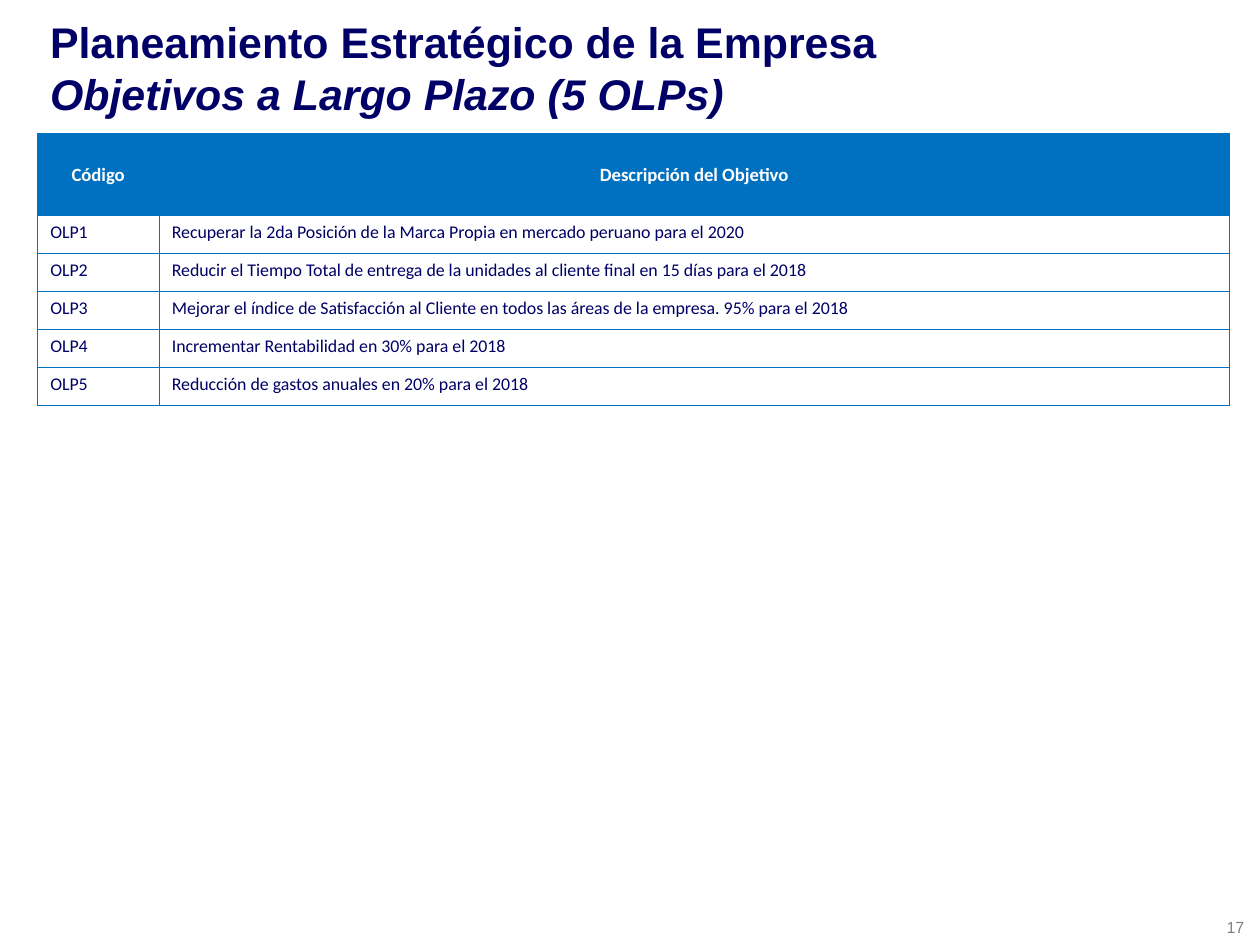
from dataclasses import dataclass

from pptx import Presentation
from pptx.dml.color import RGBColor
from pptx.enum.text import MSO_ANCHOR, PP_ALIGN
from pptx.oxml import parse_xml
from pptx.oxml.ns import nsdecls
from pptx.util import Cm, Pt

MIDDLE, TOP = MSO_ANCHOR.MIDDLE, MSO_ANCHOR.TOP
CENTER, LEFT = PP_ALIGN.CENTER, PP_ALIGN.LEFT


@dataclass(frozen=True)
class Theme:
    """Colours, fonts and type sizes of the slide."""
    navy: RGBColor = RGBColor(0x00, 0x00, 0x66)
    blue: RGBColor = RGBColor(0x00, 0x70, 0xC0)
    white: RGBColor = RGBColor(0xFF, 0xFF, 0xFF)
    grey: RGBColor = RGBColor(0x80, 0x80, 0x80)
    heading_font: str = "Arial"
    table_font: str = "Calibri"
    title_size: Pt = Pt(24)
    header_size: Pt = Pt(10.5)
    body_size: Pt = Pt(10)
    number_size: Pt = Pt(9)
    border_width: Pt = Pt(0.25)


THEME = Theme()
HEADINGS = ("Código", "Descripción del Objetivo")
OBJECTIVES = (
    "Recuperar la 2da Posición de la Marca Propia en mercado peruano para el 2020",
    "Reducir el Tiempo Total de entrega de la unidades al cliente final en 15 días para el 2018",
    "Mejorar el índice de Satisfacción al Cliente en todos las áreas de la empresa. 95% para el 2018",
    "Incrementar Rentabilidad en 30% para el 2018",
    "Reducción de gastos anuales en 20% para el 2018",
)


def add_run(paragraph, text, font, size, color, bold=False, italic=False):
    """Append one formatted run to a paragraph."""
    run = paragraph.add_run()
    run.text = text
    run.font.name = font
    run.font.size = size
    run.font.color.rgb = color
    run.font.bold = bold
    run.font.italic = italic


def add_title(slide, box):
    """Place the two-line slide title in the box."""
    frame = slide.shapes.add_textbox(*box).text_frame
    frame.word_wrap = True
    frame.vertical_anchor = MIDDLE
    title = frame.paragraphs[0]
    style = (THEME.heading_font, THEME.title_size, THEME.navy, True)
    add_run(title, "Planeamiento Estratégico de la Empresa", *style)
    title.add_line_break()
    add_run(title, "Objetivos a Largo Plazo (5 OLPs)", *style, italic=True)


def add_borders(cell):
    """Draw a thin blue line on every side of a cell."""
    properties = cell._tc.get_or_add_tcPr()
    for position, side in enumerate(("lnL", "lnR", "lnT", "lnB")):
        properties.insert(position, parse_xml(
            f'<a:{side} {nsdecls("a")} w="{THEME.border_width}"><a:solidFill>'
            f'<a:srgbClr val="{THEME.blue}"/></a:solidFill></a:{side}>'))


def add_objectives(slide, box):
    """Place the table of long-term objectives in the box."""
    left, top, width, height = box
    rows = [HEADINGS] + [(f"OLP{number}", objective)
                         for number, objective in enumerate(OBJECTIVES, 1)]
    table = slide.shapes.add_table(len(rows), len(HEADINGS), left, top, width, height).table
    table.horz_banding = False
    code_width, row_height = Cm(2.4), Cm(0.75)
    table.columns[0].width = code_width
    table.columns[1].width = width - code_width
    for index, texts in enumerate(rows):
        header = index == 0
        table.rows[index].height = height - row_height * len(OBJECTIVES) if header else row_height
        for column, text in enumerate(texts):
            cell = table.cell(index, column)
            cell.fill.solid()
            cell.fill.fore_color.rgb = THEME.blue if header else THEME.white
            cell.vertical_anchor = MIDDLE if header else TOP
            add_borders(cell)
            paragraph = cell.text_frame.paragraphs[0]
            paragraph.alignment = CENTER if header else LEFT
            add_run(paragraph, text, THEME.table_font,
                    THEME.header_size if header else THEME.body_size,
                    THEME.white if header else THEME.navy, bold=header)


def add_page_number(slide, box):
    """Place the page number in the box."""
    frame = slide.shapes.add_textbox(*box).text_frame
    frame.word_wrap = False
    add_run(frame.paragraphs[0], "17", THEME.heading_font, THEME.number_size, THEME.grey)


def main():
    """Build and save the slide."""
    deck = Presentation()
    deck.slide_width, deck.slide_height = Cm(24.89), Cm(18.67)
    slide = deck.slides.add_slide(deck.slide_layouts[6])
    margin, content_width = Cm(0.74), Cm(23.55)
    add_page_number(slide, (Cm(23.98), Cm(18.01), Cm(0.91), Cm(0.64)))
    add_title(slide, (margin, Cm(0.41), content_width, Cm(1.85)))
    add_objectives(slide, (margin, Cm(2.64), content_width, Cm(5.37)))
    deck.save("out.pptx")


if __name__ == "__main__":
    main()
